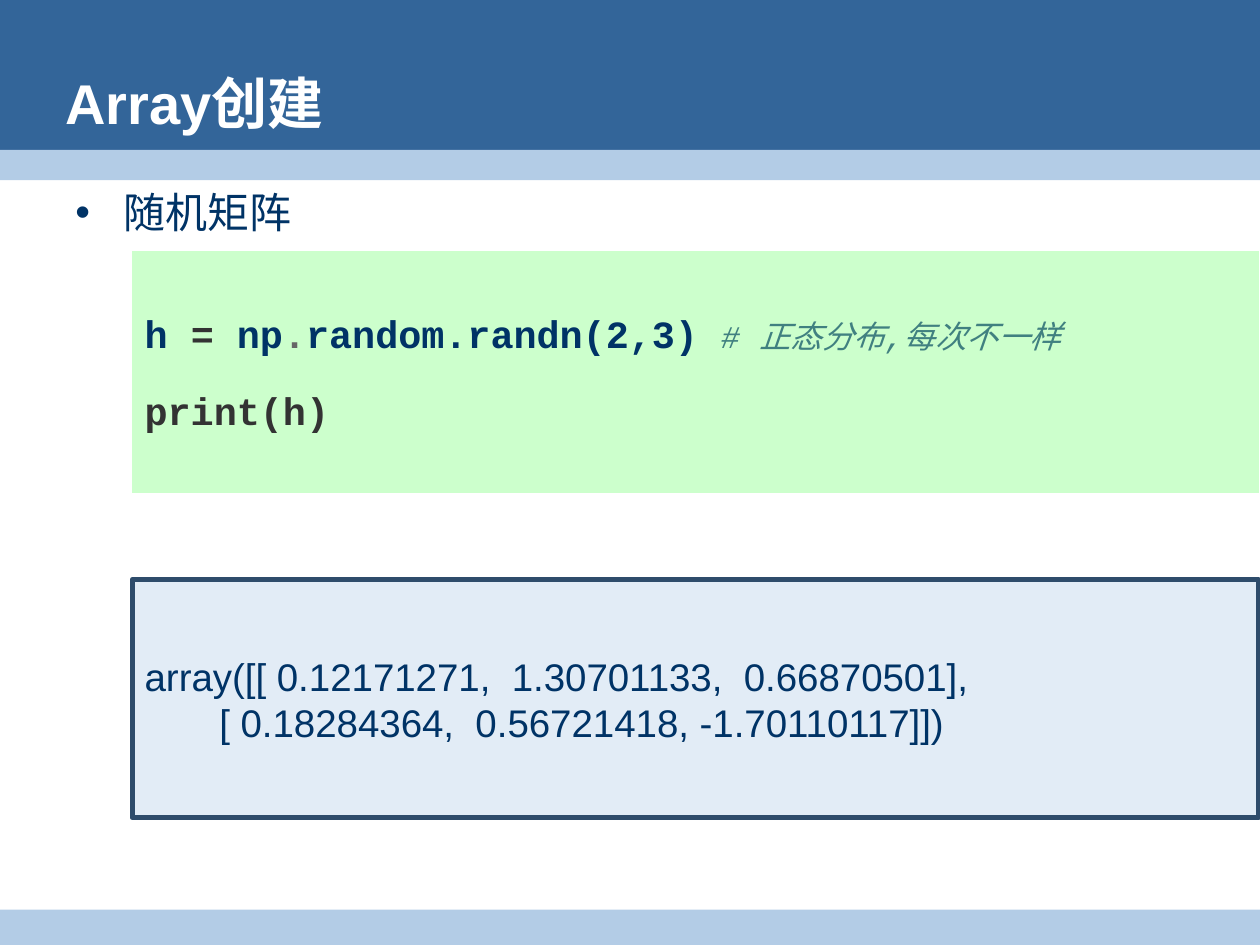
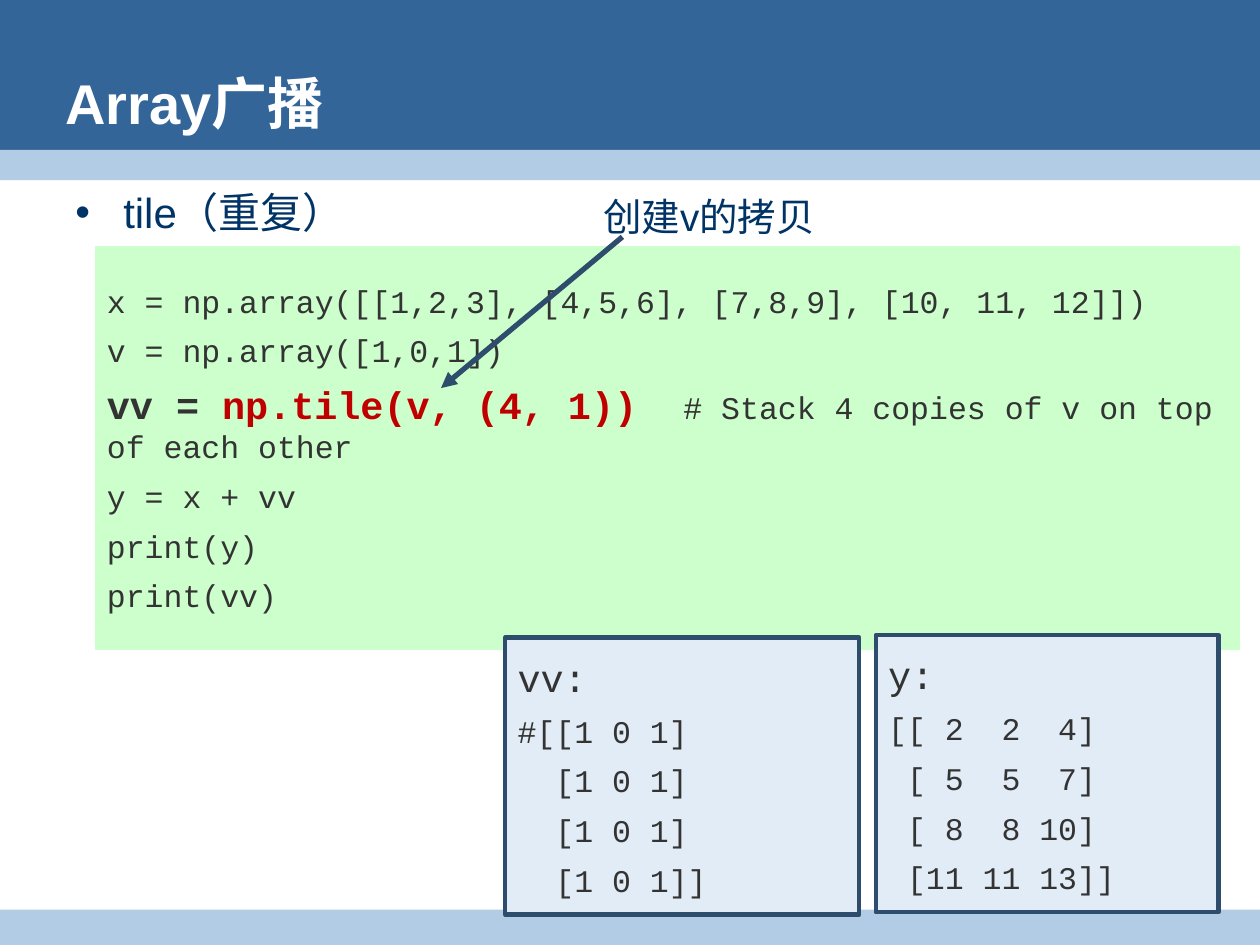
from dataclasses import dataclass
from pptx import Presentation
from pptx.dml.color import RGBColor as Color
from pptx.enum.shapes import MSO_CONNECTOR as Connector, MSO_SHAPE as Shape
from pptx.enum.text import MSO_ANCHOR as Anchor, PP_ALIGN as Align
from pptx.oxml.ns import qn
from pptx.util import Inches, Pt
from lxml.etree import SubElement


@dataclass(frozen=True)
class Theme:
    header: str = "336599"
    band: str = "B3CCE6"
    white: str = "FFFFFF"
    navy: str = "003366"
    code: str = "333333"
    dot: str = "666666"
    comment: str = "408080"
    accent: str = "C00000"
    code_fill: str = "CCFFCC"
    output_fill: str = "E2ECF6"
    outline: str = "2E4C6B"
    sans: str = "Arial"
    mono: str = "Courier New"
    title_size: float = 32
    topic_size: float = 24
    large: float = 22
    small: float = 18


theme = Theme()


def add_panel(page, place, fill, preset=Shape.RECTANGLE, line=0):
    box = page.shapes.add_shape(preset, *map(Inches, place))
    box.shadow.inherit = False
    box.fill.solid()
    box.fill.fore_color.rgb = Color.from_string(fill)
    if line:
        box.line.color.rgb = Color.from_string(theme.outline)
        box.line.width = Pt(line)
    else:
        box.line.fill.background()
    return box


def write(box, lines, anchor=Anchor.MIDDLE, before=0, after=0, first_before=None,
          bullet=False, **base):
    frame = box.text_frame
    frame.word_wrap = True
    frame.vertical_anchor = anchor
    for index, line in enumerate(lines):
        para = frame.paragraphs[0] if index == 0 else frame.add_paragraph()
        para.alignment = Align.LEFT
        para.space_before = Pt(before if index or first_before is None else first_before)
        para.space_after = Pt(after)
        if bullet:
            properties = para._p.get_or_add_pPr()
            properties.set("marL", str(Inches(0.38)))
            properties.set("indent", str(Inches(-0.38)))
            SubElement(properties, qn("a:buFont"), typeface=theme.sans)
            SubElement(properties, qn("a:buChar"), char="•")
        for text, changes in [(line, {})] if isinstance(line, str) else line:
            style = {"font": theme.sans, "color": theme.navy, **base, **changes}
            span = para.add_run()
            span.text = text
            span.font.name = style["font"]
            span.font.size = Pt(style["size"])
            span.font.color.rgb = Color.from_string(style["color"])
            span.font.bold = style.get("bold", False)
            span.font.italic = style.get("italic", False)


deck = Presentation()
deck.slide_width, deck.slide_height = Inches(10), Inches(7.5)

bands = [
    ((0, 0, 10, 1.31), theme.header),
    ((0, 1.19, 10, 0.24), theme.band),
    ((0, 7.22, 10, 0.28), theme.band),
]
pages = []
for title, topic in [("Array创建", "随机矩阵"), ("Array广播", "tile（重复）")]:
    page = deck.slides.add_slide(deck.slide_layouts[6])
    for place, fill in bands:
        add_panel(page, place, fill)
    topic_box = page.shapes.add_textbox(*map(Inches, (0.5, 1.43, 9.25, 0.55)))
    write(topic_box, [topic], anchor=Anchor.TOP, before=6, bullet=True, size=theme.topic_size)
    title_box = page.shapes.add_textbox(*map(Inches, (0.42, 0.52, 9.06, 0.58)))
    write(title_box, [title], size=theme.title_size, color=theme.white, bold=True)
    pages.append(page)
random_page, tile_page = pages

random_code = add_panel(random_page, (1.05, 1.99, 8.94, 1.92), theme.code_fill,
                        Shape.FLOWCHART_PROCESS)
write(random_code, [
    [
        ("h ", {}),
        ("= ", {"color": theme.code}),
        ("np", {}),
        (".", {"color": theme.dot}),
        ("random.randn(2,3) ", {}),
        ("# 正态分布,每次不一样", {"size": theme.small, "color": theme.comment,
                           "bold": False, "italic": True}),
    ],
    [("print(h)", {"color": theme.code})],
], before=6, after=12, font=theme.mono, size=theme.large, bold=True)

random_output = add_panel(random_page, (1.05, 4.6, 8.94, 1.89), theme.output_fill, line=3)
write(random_output, [
    "array([[ 0.12171271,  1.30701133,  0.66870501],",
    "       [ 0.18284364,  0.56721418, -1.70110117]])",
], size=theme.large)

code_style = {"before": 6.8, "font": theme.mono, "size": theme.small, "color": theme.code}
strong = {"size": theme.large, "bold": True}

tile_code = add_panel(tile_page, (0.75, 1.95, 9.09, 3.21), theme.code_fill,
                      Shape.FLOWCHART_PROCESS)
write(tile_code, [
    "x = np.array([[1,2,3], [4,5,6], [7,8,9], [10, 11, 12]])",
    "v = np.array([1,0,1])",
    [
        ("vv = ", strong),
        ("np.tile(v, (4, 1))  ", {**strong, "color": theme.accent}),
        ("# Stack 4 copies of v on top of each other", {}),
    ],
    "y = x + vv",
    "print(y)",
    "print(vv)",
], **code_style)

outputs = [
    ((4.01, 5.06, 2.81, 2.2), "vv:",
     ["#[[1 0 1]", "  [1 0 1]", "  [1 0 1]", "  [1 0 1]]"]),
    ((6.95, 5.04, 2.72, 2.2), "y:",
     ["[[ 2  2  4]", " [ 5  5  7]", " [ 8  8 10]", " [11 11 13]]"]),
]
for place, label, rows in outputs:
    output_box = add_panel(tile_page, place, theme.output_fill, line=2.5)
    write(output_box, [[(label, {"size": theme.large})], *rows], first_before=8.2, **code_style)

copy_note = tile_page.shapes.add_textbox(*map(Inches, (4.69, 1.48, 2.44, 0.47)))
write(copy_note, ["创建v的拷贝"], anchor=Anchor.TOP, size=theme.large)

arrow = tile_page.shapes.add_connector(Connector.STRAIGHT, *map(Inches, (4.94, 1.88, 3.5, 3.08)))
arrow.line.color.rgb = Color.from_string(theme.outline)
arrow.line.width = Pt(3)
SubElement(arrow.line._get_or_add_ln(), qn("a:tailEnd"), type="triangle")
SubElement(arrow._element.spPr, qn("a:effectLst"))

deck.save("out.pptx")
